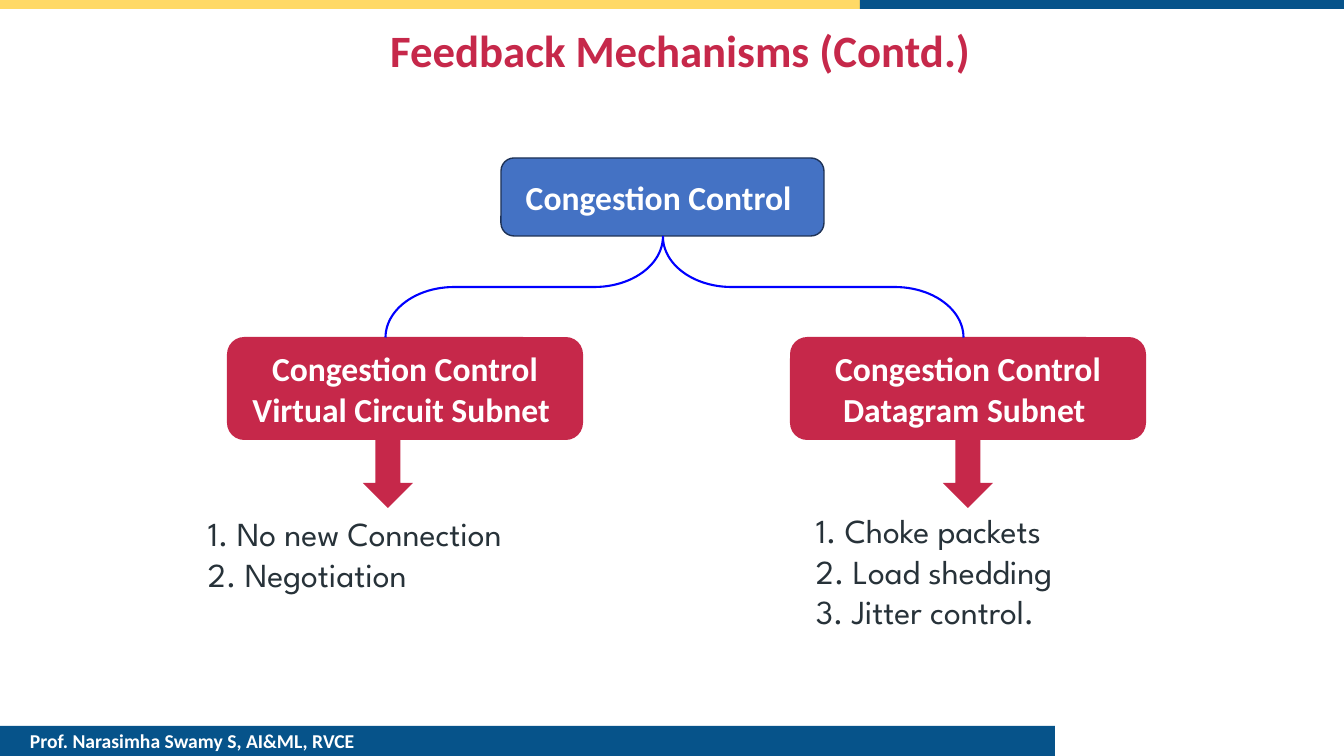
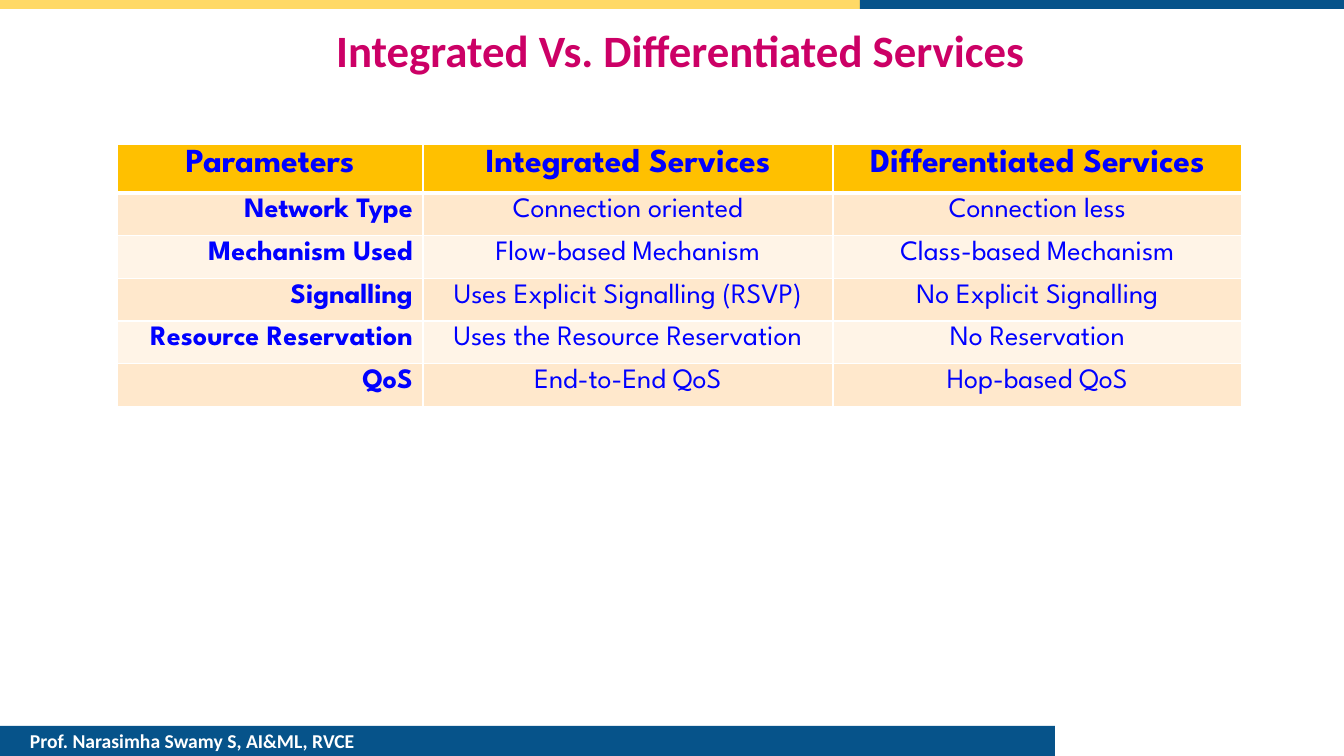
from lxml import etree
from pptx import Presentation
from pptx import util as u
from pptx.dml.color import RGBColor
from pptx.enum import shapes, text
from pptx.oxml.ns import qn

PX = 914400 / 100.8  # EMU in one px
BODY_FONT, HEAD_FONT = "League Spartan", "Calibri"
WHITE, NAVY, YELLOW = "FFFFFF", "06538A", "FFD966"
CRIMSON, MAGENTA, BLUE = "C6284A", "CC0066", "0000FF"
ROYAL, ROYAL_EDGE, INK = "4472C4", "1E3256", "273239"
HEADER_FILL, ROW_FILLS = "FFC000", ("FFE8CC", "FFF4E7")

SHAPE = shapes.MSO_SHAPE
ALIGN = text.PP_ALIGN
MIDDLE = text.MSO_ANCHOR.MIDDLE


def px(length):
    return u.Emu(round(length * PX))


def rgb(value):
    return RGBColor.from_string(value)


class Deck:
    """Holds the shared style and the slide being drawn."""

    def __init__(self):
        self.presentation = Presentation()
        self.presentation.slide_width = px(1344)
        self.presentation.slide_height = px(756)
        self.slide = None

    def new_slide(self, title, title_color):
        self.slide = self.presentation.slides.add_slide(
            self.presentation.slide_layouts[6])
        # Top bands and footer
        self.shape(SHAPE.RECTANGLE, (0, 0, 860, 9), YELLOW)
        self.shape(SHAPE.RECTANGLE, (860, 0, 484, 9), NAVY)
        footer = self.shape(SHAPE.RECTANGLE, (0, 726, 1055, 30), NAVY)
        footer.text_frame.margin_left = px(30)
        self.set_lines(footer.text_frame,
                       ["Prof. Narasimha Swamy S, AI&ML, RVCE"],
                       14, WHITE, align=ALIGN.LEFT)
        # Title
        frame = self.text_box((93, 18, 1175, 69))
        frame.vertical_anchor = MIDDLE
        self.set_lines(frame, [title], 32, title_color, spacing=0.9)

    def set_lines(self, frame, lines, size, color, font=HEAD_FONT, bold=True,
                  align=ALIGN.CENTER, spacing=None):
        for index, line in enumerate(lines):
            paragraph = frame.add_paragraph() if index else frame.paragraphs[0]
            paragraph.text = line
            paragraph.alignment = align
            paragraph.line_spacing = spacing
            paragraph.font.name = font
            paragraph.font.size = u.Pt(size)
            paragraph.font.bold = bold
            paragraph.font.color.rgb = rgb(color)

    def shape(self, kind, box, fill=None, line=None, weight=1):
        shape = self.slide.shapes.add_shape(kind, *map(px, box))
        shape.shadow.inherit = False
        if fill:
            shape.fill.solid()
            shape.fill.fore_color.rgb = rgb(fill)
        else:
            shape.fill.background()
        if line:
            shape.line.color.rgb = rgb(line)
            shape.line.width = u.Pt(weight)
        else:
            shape.line.fill.background()
        shape.text_frame.vertical_anchor = MIDDLE
        return shape

    def text_box(self, box):
        frame = self.slide.shapes.add_textbox(*map(px, box)).text_frame
        frame.word_wrap = True
        return frame

    def label_box(self, box, lines, fill, line=None):
        shape = self.shape(SHAPE.ROUNDED_RECTANGLE, box, fill, line)
        self.set_lines(shape.text_frame, lines, 24, WHITE)

    def brace(self, box, adjustments):
        brace = self.shape(SHAPE.RIGHT_BRACE, box, line=BLUE, weight=1.5)
        brace.rotation = 270
        for index, value in enumerate(adjustments):
            brace.adjustments[index] = value

    def numbered_list(self, box, items):
        frame = self.text_box(box)
        self.set_lines(frame, [" " + item for item in items], 24, INK,
                       BODY_FONT, False, ALIGN.JUSTIFY, u.Pt(29))
        for paragraph in frame.paragraphs:
            properties = paragraph._p.get_or_add_pPr()
            properties.set("marL", "0")
            properties.set("indent", "0")
            font = etree.Element(qn("a:buFont"), typeface=BODY_FONT)
            number = etree.Element(qn("a:buAutoNum"), type="arabicPeriod")
            defaults = properties.find(qn("a:defRPr"))
            defaults.addprevious(font)
            defaults.addprevious(number)

    def borders(self, cell, bottom):
        properties = cell._tc.get_or_add_tcPr()
        for side, weight in (("L", 1), ("R", 1), ("T", 1), ("B", bottom)):
            line = etree.SubElement(properties, qn("a:ln" + side),
                                    w=str(u.Pt(weight)))
            fill = etree.SubElement(line, qn("a:solidFill"))
            etree.SubElement(fill, qn("a:srgbClr"), val=WHITE)

    def table(self, left, top, widths, header_height, row_height, rows):
        height = header_height + row_height * (len(rows) - 1)
        table = self.slide.shapes.add_table(
            len(rows), len(widths),
            *map(px, (left, top, sum(widths), height))).table
        table.first_row = table.horz_banding = False
        for column, width in zip(table.columns, widths):
            column.width = px(width)
        for r, values in enumerate(rows):
            header = r == 0
            table.rows[r].height = px(header_height if header else row_height)
            for c, value in enumerate(values):
                cell = table.cell(r, c)
                cell.margin_top, cell.margin_bottom = px(5), px(4)
                self.borders(cell, 3 if header else 1)
                cell.fill.solid()
                cell.fill.fore_color.rgb = rgb(
                    HEADER_FILL if header else ROW_FILLS[(r - 1) % 2])
                row_name = c == 0 and not header
                self.set_lines(cell.text_frame, [value], 24 if header else 20,
                               BLUE, BODY_FONT, header or row_name,
                               ALIGN.RIGHT if row_name else ALIGN.CENTER)


def main():
    deck = Deck()

    # Congestion control tree
    deck.new_slide("Feedback Mechanisms (Contd.)", CRIMSON)
    deck.label_box((501, 158, 323, 78), ["Congestion Control "],
                   ROYAL, ROYAL_EDGE)
    branches = (
        (227, "Virtual Circuit Subnet ", 363, (198, 508, 376, 92),
         ["No new Connection", "Negotiation"]),
        (790, "Datagram Subnet ", 943, (806, 505, 323, 132),
         ["Choke packets", "Load shedding", "Jitter control."]),
    )
    for box_left, subnet, arrow_left, list_box, methods in branches:
        deck.label_box((box_left, 337, 356, 103),
                       ["Congestion Control", subnet], CRIMSON)
        deck.numbered_list(list_box, methods)
        deck.shape(SHAPE.DOWN_ARROW, (arrow_left, 440, 50, 68), CRIMSON)
    deck.brace((624, -2, 101, 578), (0.68, 0.48))

    # Service comparison
    deck.new_slide("Integrated Vs. Differentiated Services", MAGENTA)
    deck.table(117, 144, (306, 410, 409), 40, 36, (
        ("Parameters", "Integrated Services", "Differentiated Services"),
        ("Network Type", "Connection oriented", "Connection less"),
        ("Mechanism Used", "Flow-based Mechanism", "Class-based Mechanism"),
        ("Signalling", "Uses Explicit Signalling (RSVP)",
         "No Explicit Signalling"),
        ("Resource Reservation", "Uses the Resource Reservation",
         "No Reservation"),
        ("QoS", "End-to-End QoS", "Hop-based QoS"),
    ))

    deck.presentation.save("out.pptx")


if __name__ == "__main__":
    main()
